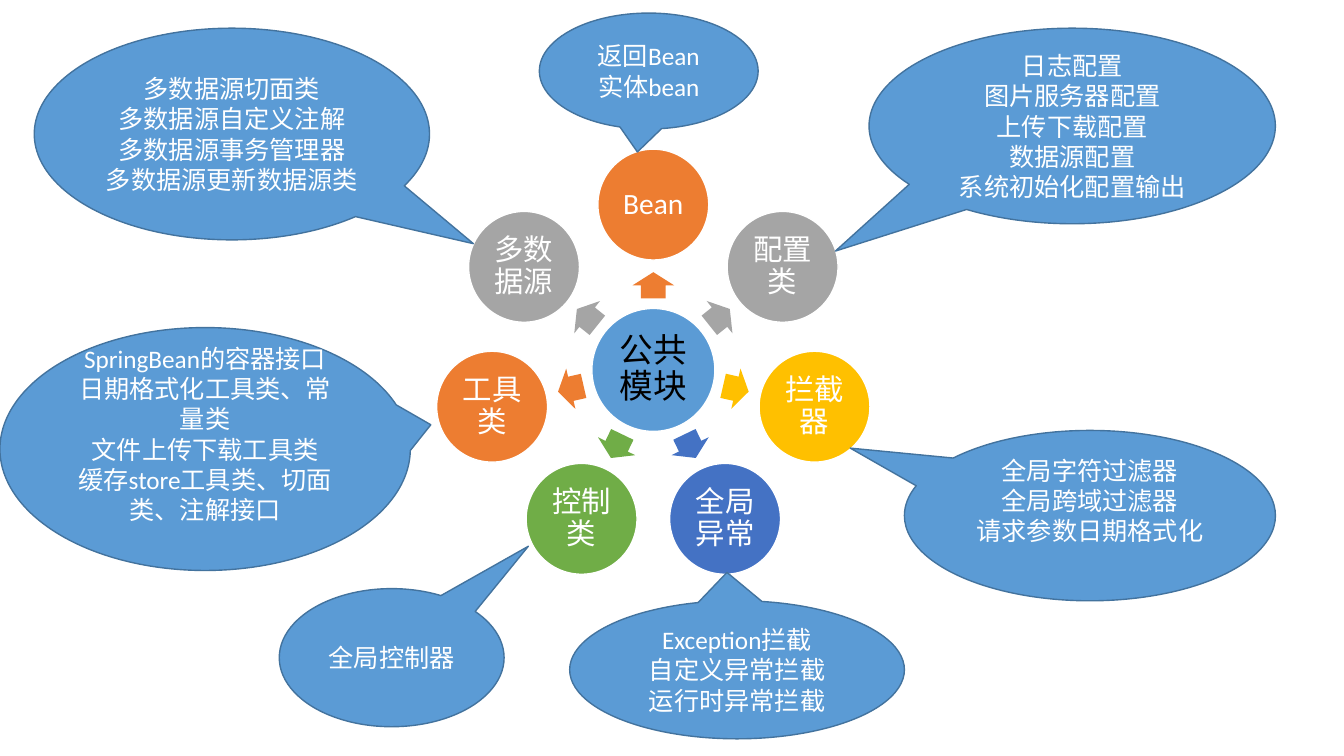
import math
from pptx import Presentation
from pptx.dml.color import RGBColor
from pptx.enum.shapes import MSO_SHAPE
from pptx.enum.text import MSO_ANCHOR, PP_ALIGN
from pptx.util import Inches, Pt

BLUE, WHITE, OUTLINE = "5B9BD5", "FFFFFF", "43739E"
HUB = "公共模块"
MODULES = [
    ("Bean", "ED7D31"),
    ("配置类", "A5A5A5"),
    ("拦截器", "FFC000"),
    ("全局异常", "4472C4"),
    ("控制类", "70AD47"),
    ("工具类", "ED7D31"),
    ("多数据源", "A5A5A5"),
]
CALLOUTS = [
    ((8.62, 0.28, 4.03, 1.94), (-0.583, 0.64), 0.05,
     ["日志配置", "图片服务器配置", "上传下载配置", "数据源配置", "系统初始化配置输出"]),
    ((8.97, 4.27, 3.68, 1.69), (-0.646, -0.396), 0.35,
     ["全局字符过滤器", "全局跨域过滤器", "请求参数日期格式化"]),
    ((5.35, 0.13, 2.17, 1.15), (-0.052, 0.698), 0.05,
     ["返回Bean", "实体bean"]),
    ((5.65, 5.96, 3.32, 1.37), (-0.03, -0.705), 0.05,
     ["Exception拦截", "自定义异常拦截", "运行时异常拦截"]),
    ((2.77, 5.84, 2.23, 1.37), (0.608, -0.807), 0.05,
     ["全局控制器"]),
    ((0, 3.25, 4.07, 2.41), (0.55, -0.1), 0.35,
     ["SpringBean的容器接口", "日期格式化工具类、常量类", "文件上传下载工具类",
      "缓存store工具类、切面类、注解接口"]),
    ((0.34, 0.28, 3.92, 2.1), (0.611, 0.518), 0.05,
     ["多数据源切面类", "多数据源自定义注解", "多数据源事务管理器", "多数据源更新数据源类"]),
]
CENTER_X, CENTER_Y = 6.48, 3.67
HUB_SIZE, MODULE_SIZE = 1.22, 1.1
MODULE_RADIUS, ARROW_RADIUS = 1.64, 0.84
ARROW_W, ARROW_H = 0.26, 0.41

prs = Presentation()
prs.slide_width, prs.slide_height = Inches(13.33), Inches(7.5)
slide = prs.slides.add_slide(prs.slide_layouts[6])


def color(value):
    return RGBColor.from_string(value)


def add_shape(kind, box, fill, line=None, adjustments=()):
    shape = slide.shapes.add_shape(kind, *map(Inches, box))
    shape.shadow.inherit = False
    shape.fill.solid()
    shape.fill.fore_color.rgb = color(fill)
    if line:
        shape.line.color.rgb = color(line)
        shape.line.width = Pt(1)
    else:
        shape.line.fill.background()
    for i, value in enumerate(adjustments):
        shape.adjustments[i] = value
    return shape


def write(shape, lines, size, text_color, insets, spacing=1.0):
    frame = shape.text_frame
    frame.word_wrap = True
    frame.vertical_anchor = MSO_ANCHOR.MIDDLE
    (frame.margin_left, frame.margin_top,
     frame.margin_right, frame.margin_bottom) = map(Inches, insets)
    for i, line in enumerate(lines):
        paragraph = frame.paragraphs[0] if i == 0 else frame.add_paragraph()
        paragraph.alignment = PP_ALIGN.CENTER
        paragraph.line_spacing = spacing
        run = paragraph.add_run()
        run.text = line
        run.font.name = "Calibri"
        run.font.size = Pt(size)
        run.font.color.rgb = color(text_color)


def centered(x, y, width, height):
    return x - width / 2, y - height / 2, width, height


def on_ring(angle, radius):
    turn = math.radians(angle)
    return CENTER_X + radius * math.cos(turn), CENTER_Y + radius * math.sin(turn)


def add_circle(x, y, size, fill, label, font_size, text_color):
    circle = add_shape(MSO_SHAPE.OVAL, centered(x, y, size, size), fill, WHITE)
    write(circle, [label], font_size, text_color, [0.03] * 4, 0.9)


add_circle(CENTER_X, CENTER_Y, HUB_SIZE, BLUE, HUB, 24, "000000")
for i, (label, fill) in enumerate(MODULES):
    angle = i * 360 / len(MODULES) - 90
    arrow_box = centered(*on_ring(angle, ARROW_RADIUS), ARROW_W, ARROW_H)
    arrow = add_shape(MSO_SHAPE.RIGHT_ARROW, arrow_box, fill, adjustments=(0.6, 0.5))
    arrow.rotation = angle % 360
    add_circle(*on_ring(angle, MODULE_RADIUS), MODULE_SIZE, fill, label, 21, WHITE)

for box, tip, bottom, lines in CALLOUTS:
    callout = add_shape(MSO_SHAPE.OVAL_CALLOUT, box, BLUE, OUTLINE, tip)
    write(callout, lines, 18, WHITE, (0.1, 0.05, 0.1, bottom))

prs.save("out.pptx")
